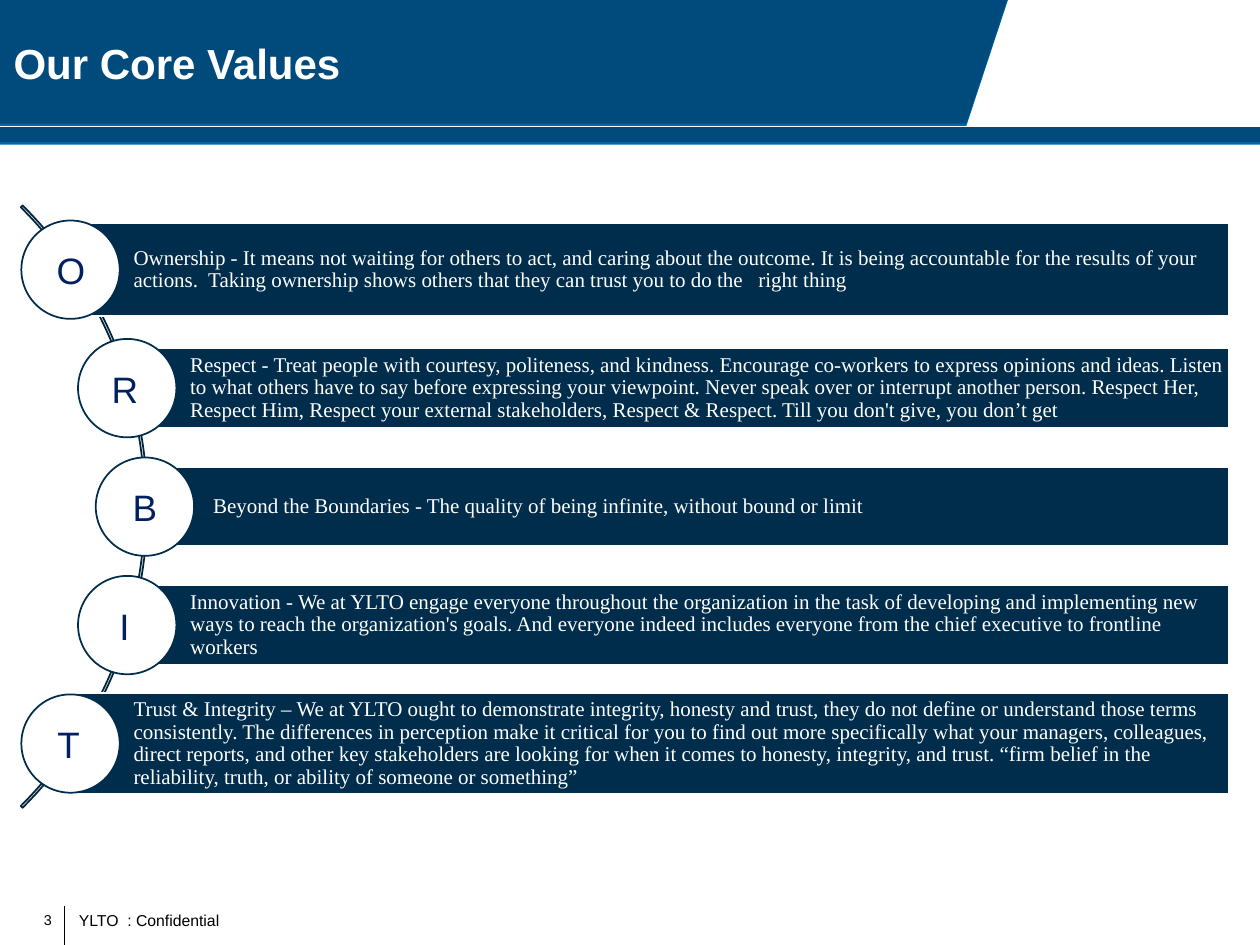
from pptx import Presentation
from pptx.dml.color import RGBColor
from pptx.enum.shapes import MSO_CONNECTOR as CONNECTOR, MSO_SHAPE as SHAPE
from pptx.enum.text import MSO_ANCHOR as ANCHOR, PP_ALIGN as ALIGN
from pptx.oxml.ns import qn
from pptx.util import Pt
from lxml.etree import SubElement

COLORS = {
    "banner": "004B7C", "banner_edge": "0066AE", "bar": "002D4B",
    "arc": "00243C", "letter": "002060", "white": "FFFFFF", "black": "000000",
}
COMPANY = "YLTO"
NBSP = chr(160)  # keeps two words on one line

# letter, its offset from the circle centre, bar left, bar height, statement
VALUES = [
    ("O", -15, 40.3, 53.3,
     "Ownership - It means not waiting for others to act, and caring about the outcome. "
     "It is being accountable for the results of your actions.  Taking ownership shows "
     "others that they can trust you to do the   right thing"),
    ("R", -16, 72.7, 45.4,
     "Respect - Treat people with courtesy, politeness, and kindness. Encourage co-workers "
     f"to express opinions and ideas.{NBSP}Listen to what others have to say before "
     "expressing your viewpoint. Never speak over or interrupt another person. Respect "
     "Her, Respect Him, Respect your external stakeholders, Respect & Respect. Till you "
     "don't give, you don’t get"),
    ("B", -14, 82.8, 45.4,
     " Beyond the Boundaries - The quality of being infinite, without bound or limit"),
    ("I", -11.5, 72.7, 45.4,
     f"Innovation - We at {COMPANY} engage everyone throughout the organization in the task "
     "of developing and implementing new ways to reach the organization's goals. And "
     "everyone indeed includes everyone from the chief executive to frontline workers"),
    ("T", -14.5, 40.3, 57.6,
     f"Trust & Integrity – We at {COMPANY} ought to demonstrate integrity, honesty and "
     "trust, they do not define or understand those terms consistently. The differences in "
     "perception make it critical for you to find out more specifically what your managers, "
     "colleagues, direct reports, and other key stakeholders are looking for when it comes "
     "to honesty, integrity, and trust. “firm belief in the reliability, truth, or ability "
     "of someone or something”"),
]


def rgb(name):
    return RGBColor.from_string(COLORS[name])


def paint(shape, fill=None, line=None):
    shape.shadow.inherit = False
    if fill:
        shape.fill.solid()
        shape.fill.fore_color.rgb = rgb(fill)
    else:
        shape.fill.background()
    if line:
        shape.line.color.rgb = rgb(line)
        shape.line.width = Pt(1)
    else:
        shape.line.fill.background()


def add_preset(slide, kind, left, top, width, height, fill=None, line=None):
    shape = slide.shapes.add_shape(kind, Pt(left), Pt(top), Pt(width), Pt(height))
    paint(shape, fill, line)
    return shape


def write(shape, text, size, color, font="Arial", bold=False, align=ALIGN.LEFT,
          anchor=ANCHOR.TOP, insets=(7.2, 3.6, 7.2, 3.6), spacing=None):
    frame = shape.text_frame
    frame.word_wrap = True
    frame.vertical_anchor = anchor
    (frame.margin_left, frame.margin_top,
     frame.margin_right, frame.margin_bottom) = map(Pt, insets)
    paragraph = frame.paragraphs[0]
    paragraph.alignment = align
    paragraph.line_spacing = spacing
    run = paragraph.add_run()
    run.text = text
    run.font.name, run.font.size, run.font.bold = font, Pt(size), bold
    run.font.color.rgb = rgb(color)


def add_text(slide, left, top, width, height, text, size, color, **style):
    box = slide.shapes.add_textbox(Pt(left), Pt(top), Pt(width), Pt(height))
    write(box, text, size, color, **style)


def add_header(slide, left, top, width, height):
    # Slanted banner above a full-width band, each with a lighter layer below
    for color, rise in (("banner_edge", 0), ("banner", 1.4)):
        y = top - rise
        outline = slide.shapes.build_freeform(Pt(left), Pt(y))
        outline.add_line_segments([
            (Pt(left + 0.8 * width), Pt(y)),
            (Pt(left + 0.767 * width), Pt(y + height)),
            (Pt(left), Pt(y + height)),
        ])
        paint(outline.convert_to_shape(), color)
        add_preset(slide, SHAPE.RECTANGLE, left, y + height + 2.1, width, 8.6, color)
    add_text(slide, left + 0.7, top, 554.4, height - 0.7, "Our Core Values", 24,
             "white", bold=True, anchor=ANCHOR.MIDDLE)


def add_values(slide, left, top, width, height):
    # Thin arc running behind the circles
    diameter, middle = 486.7, top + height / 2
    arc = add_preset(slide, SHAPE.BLOCK_ARC, left - 414, middle - diameter / 2,
                     diameter, diameter, line="arc")
    for index, value in enumerate((189, 27, 0.003)):
        arc.adjustments[index] = value

    # One bar, circle and letter per value, at an equal pitch
    circle = 56.2
    pitch = (height - circle) / (len(VALUES) - 1)
    for row, (letter, shift, bar_left, bar_height, statement) in enumerate(VALUES):
        center = top + circle / 2 + row * pitch
        bar = add_preset(slide, SHAPE.RECTANGLE, bar_left, center - bar_height / 2,
                         left + width - bar_left, bar_height, "bar", "white")
        write(bar, statement, 12, "white", font="Times New Roman", spacing=0.9,
              anchor=ANCHOR.MIDDLE, insets=(36, 2.2, 2.2, 2.2))
        add_preset(slide, SHAPE.OVAL, bar_left - circle / 2, center - circle / 2,
                   circle, circle, "white", "bar")
        add_text(slide, bar_left + shift, center - 15.8, 22, 32.4, letter, 21, "letter")


def add_footer(slide, left, top, height):
    # Page number, divider and confidentiality note
    divider = slide.shapes.add_connector(CONNECTOR.STRAIGHT, Pt(left + 33), Pt(top + 0.7),
                                         Pt(left + 33), Pt(top + height))
    divider.line.color.rgb = rgb("black")
    divider.line.width = Pt(0.5)
    SubElement(divider._element.spPr, qn("a:effectLst"))
    add_text(slide, left, top, 26, 17.3, "3", 8.2, "black", align=ALIGN.RIGHT,
             insets=(7.2, 3.6, 0, 3.6))
    add_text(slide, left + 34.4, top, 98.6, 18, f"{COMPANY}  : Confidential", 9, "black")


def main():
    deck = Presentation()
    deck.slide_width, deck.slide_height = Pt(720), Pt(540)
    slide = deck.slides.add_slide(deck.slide_layouts[6])
    add_header(slide, 0, 0, 720, 72)
    add_values(slide, 11.5, 126, 690.5, 327)
    add_footer(slide, 3.6, 517, 23)
    deck.save("out.pptx")


if __name__ == "__main__":
    main()
